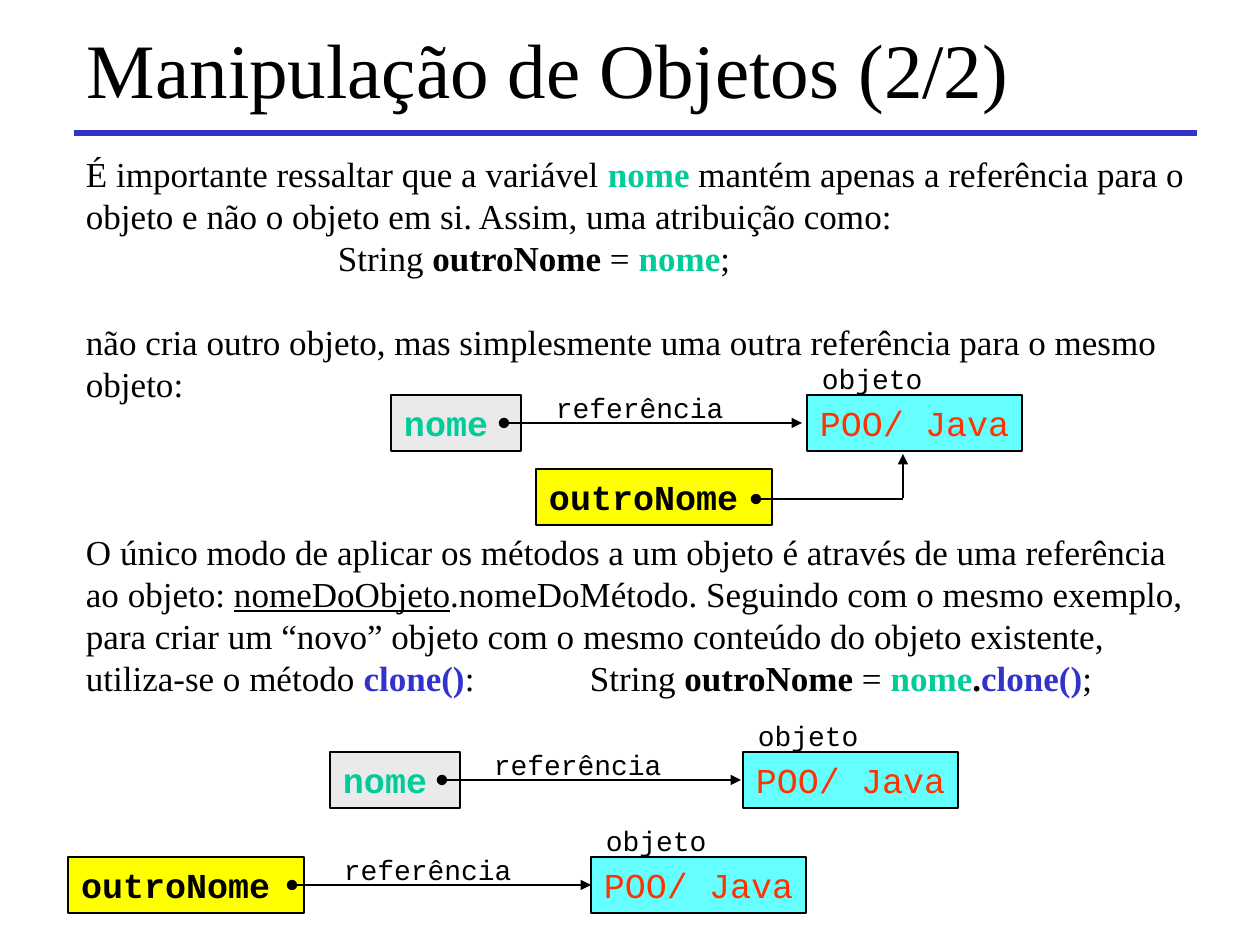
from pptx import Presentation
from pptx.dml.color import RGBColor as RGB
from pptx.enum.shapes import MSO_CONNECTOR as CONN, MSO_SHAPE as SHAPE
from pptx.enum.text import MSO_ANCHOR as ANCHOR, PP_ALIGN as ALIGN
from pptx.oxml.ns import qn
from pptx.util import Emu, Pt
from lxml import etree

PX = 914400 // 126
THEME = {
    "serif": "Times New Roman", "mono": "Courier New",
    "title": 44, "body": 20, "label": 16, "leading": 24,
    "black": "000000", "green": "00CC99", "blue": "3333CC", "red": "FF3300",
    "gray": "EAEAEA", "cyan": "66FFFF", "yellow": "FFFF00",
}

prs = Presentation()
prs.slide_width, prs.slide_height = Emu(1260 * PX), Emu(945 * PX)
s = prs.slides.add_slide(prs.slide_layouts[6])


def write(sp, paras, size, face, top=6, wrap=False, anchor=ANCHOR.TOP):
    tf = sp.text_frame
    frame = {"word_wrap": wrap, "vertical_anchor": anchor,
             "margin_left": Emu(13 * PX), "margin_right": Emu(0),
             "margin_top": Emu(top * PX), "margin_bottom": Emu(0)}
    for key, value in frame.items():
        setattr(tf, key, value)
    for i, (before, runs) in enumerate(paras):
        p = tf.paragraphs[0] if i == 0 else tf.add_paragraph()
        p.alignment = ALIGN.LEFT
        if before:
            p.space_before = Pt(before * THEME["leading"])
        if wrap:
            p.line_spacing = Pt(THEME["leading"])
            tabs = etree.SubElement(p._p.get_or_add_pPr(), qn("a:tabLst"))
            for inch in range(1, 8):
                etree.SubElement(tabs, qn("a:tab"), pos=str(inch * 126 * PX), algn="l")
        for text, color, *styles in runs:
            r = p.add_run()
            r.text = text
            r.font.color.rgb = RGB.from_string(THEME[color])
            font = {"size": Pt(THEME[size]), "name": THEME[face],
                    "bold": "bold" in styles, "underline": "underline" in styles}
            for key, value in font.items():
                setattr(r.font, key, value)


def line(x1, y1, x2, y2, color="black", width=0.75, head=None, tail=None):
    c = s.shapes.add_connector(CONN.STRAIGHT, *(Emu(v * PX) for v in (x1, y1, x2, y2)))
    c.line.color.rgb = RGB.from_string(THEME[color])
    c.line.width = Pt(width)
    ln = c.line._get_or_add_ln()
    for tag, kind in (("a:headEnd", head), ("a:tailEnd", tail)):
        if kind:
            etree.SubElement(ln, qn(tag), type=kind)
    etree.SubElement(c._element.spPr, qn("a:effectLst"))
    return c


title = s.shapes.add_textbox(*(Emu(v * PX) for v in (74, 20, 1071, 95)))
write(title, [(0, [("Manipulação de Objetos (2/2)", "black")])],
      "title", "serif", top=0, anchor=ANCHOR.MIDDLE)

body = s.shapes.add_textbox(*(Emu(v * PX) for v in (73, 146, 1124, 559)))
write(body, [
    (0, [("É importante ressaltar que a variável ", "black"),
         ("nome", "green", "bold"),
         (" mantém apenas a referência para o objeto e não o objeto em si. "
          "Assim, uma atribuição como:", "black")]),
    (0, [("\t\tString ", "black"), ("outroNome", "black", "bold"), (" = ", "black"),
         ("nome", "green", "bold"), (";", "black")]),
    (1, [("não cria outro objeto, mas simplesmente uma outra referência "
          "para o mesmo objeto:", "black")]),
    (3, [("O único modo de aplicar os métodos a um objeto é através de uma "
          "referência ao objeto: ", "black"),
         ("nomeDoObjeto", "black", "underline"),
         (".nomeDoMétodo. Seguindo com o mesmo exemplo, para criar um “novo” objeto "
          "com o mesmo conteúdo do objeto existente, utiliza-se o método ", "black"),
         ("clone()", "blue", "bold"), (":\tString ", "black"),
         ("outroNome", "black", "bold"), (" = ", "black"), ("nome", "green", "bold"),
         (".", "black", "bold"), ("clone()", "blue", "bold"), (";", "black")]),
], "body", "serif", wrap=True)

line(74, 133, 1197, 133, color="blue", width=3)

BOX_H = 56
VARIABLES = {"nome": (130, "gray", "green"), "outroNome": (236, "yellow", "black")}
boxes = [
    ("nome", 391, 395, 504, 802, 807),
    ("nome", 330, 752, 442, 741, 743),
    ("outroNome", 68, 857, 292, 590, 591),
    ("outroNome", 536, 469, 756, None, None),
]
for name, x, y, dot, tip, obj_x in boxes:
    width, fill, color = VARIABLES[name]
    rects = [(x, width, fill, name, color, "bold")]
    if obj_x:
        rects.append((obj_x, 215, "cyan", "POO/ Java", "red", ""))
    for left, w, back, text, ink, style in rects:
        sp = s.shapes.add_shape(SHAPE.RECTANGLE, *(Emu(v * PX) for v in (left, y, w, BOX_H)))
        sp.shadow.inherit = False
        sp.fill.solid()
        sp.fill.fore_color.rgb = RGB.from_string(THEME[back])
        sp.line.color.rgb = RGB.from_string(THEME["black"])
        sp.line.width = Pt(0.75)
        write(sp, [(0, [(text, ink, style)])], "body", "mono")
    if not obj_x:
        continue
    c = line(dot, y + BOX_H // 2, tip, y + BOX_H // 2, head="oval", tail="triangle")
    if obj_x - tip < 2:
        c.end_connect(sp, 1)
    for text, left, top, w in (("referência", dot + 39, y - 10, 193),
                               ("objeto", obj_x + 2, y - 39, 126)):
        label = s.shapes.add_textbox(*(Emu(v * PX) for v in (left, top, w, 47)))
        write(label, [(0, [(text, "black")])], "label", "mono")

line(756, 499, 903, 499, head="oval")
line(903, 498, 903, 454, tail="triangle")

prs.save("out.pptx")
